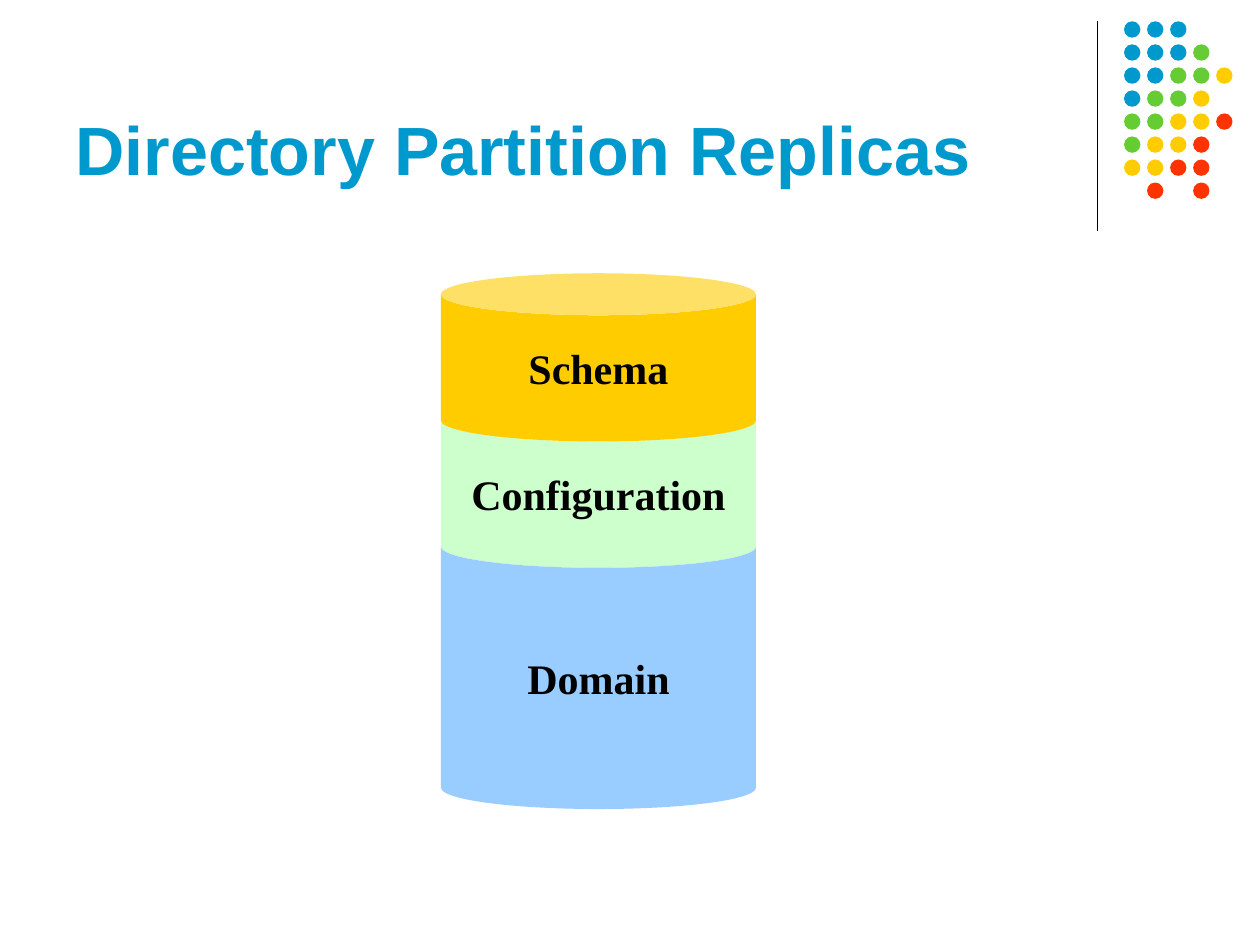
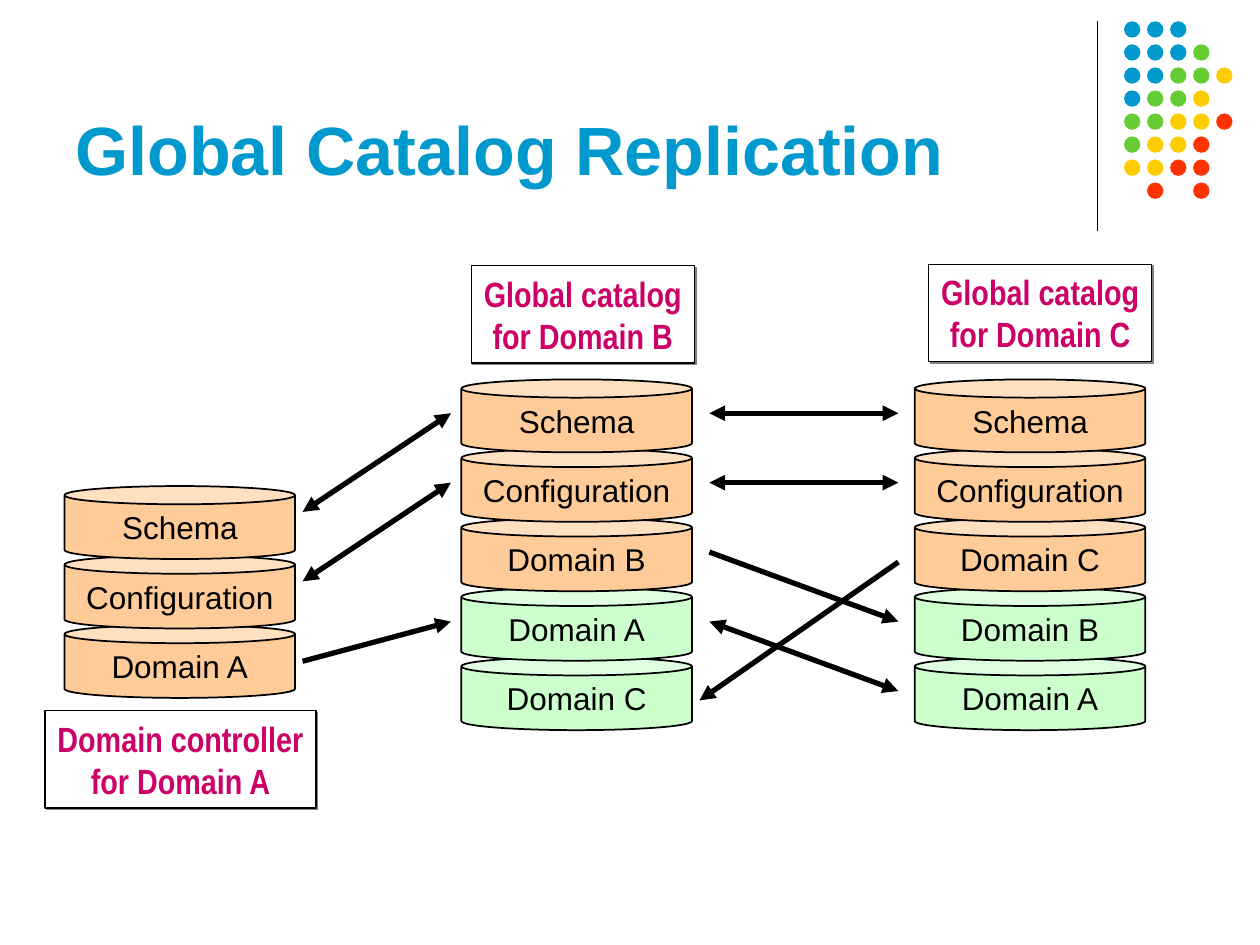
from lxml.etree import SubElement
from pptx import Presentation
from pptx.dml.color import RGBColor
from pptx.enum.shapes import MSO_CONNECTOR, MSO_SHAPE
from pptx.enum.text import MSO_ANCHOR, MSO_AUTO_SIZE, PP_ALIGN
from pptx.oxml.ns import qn
from pptx.util import Cm, Pt

COLORS = {
    "blue": "0099CD", "green": "66CC33", "gold": "FFCC00", "red": "FF3300",
    "black": "000000", "white": "FFFFFF", "gray": "808080", "pink": "CC0066",
    "sky": "99CCFF", "mint": "CCFFCC", "peach": "FFCC99",
}
DOT_KEYS = {"b": "blue", "g": "green", "y": "gold", "r": "red"}
DOT_ROWS = ["bbb", "bbbg", "bbggy", "bggy", "ggyyr", "gyyr", "yyrr", " r r"]
DOT_STEP = 3.25 / 7

CAN_WIDTH = 4.65
CAN_HEIGHT = 1.47
CAN_STEP = 1.4


def color(name):
    return RGBColor.from_string(COLORS[name])


def add_shape(slide, kind, left, top, width, height, fill, line=None):
    shape = slide.shapes.add_shape(kind, Cm(left), Cm(top), Cm(width), Cm(height))
    shape.shadow.inherit = False
    shape.fill.solid()
    shape.fill.fore_color.rgb = color(fill)
    if line:
        shape.line.color.rgb = color("black")
        shape.line.width = Pt(line)
    else:
        shape.line.fill.background()
    return shape


def set_text(shape, text, font, size, ink, bold=False, align=PP_ALIGN.CENTER):
    frame = shape.text_frame
    frame.text = text
    for par in frame.paragraphs:
        par.alignment = align
        for run in par.runs:
            run.font.name = font
            run.font.size = Pt(size)
            run.font.bold = bold
            run.font.color.rgb = color(ink)
    return frame


def add_line(slide, start, end, width, head=False, tail=False):
    points = [Cm(value) for value in (*start, *end)]
    line = slide.shapes.add_connector(MSO_CONNECTOR.STRAIGHT, *points)
    line.line.color.rgb = color("black")
    line.line.width = Pt(width)
    props = line.element.spPr
    for tag, shown in (("a:headEnd", head), ("a:tailEnd", tail)):
        if shown:
            SubElement(props.find(qn("a:ln")), qn(tag), type="triangle")
    SubElement(props, qn("a:effectLst"))
    return line


def add_arrow(slide, start, end, both=False):
    add_line(slide, start, end, 3, head=both, tail=True)


def add_can(slide, text, left, top, width, height, fill, bend=0.25,
            line=None, font="Arial", size=18, bold=False):
    can = add_shape(slide, MSO_SHAPE.CAN, left, top, width, height, fill, line)
    can.adjustments[0] = bend
    frame = set_text(can, text, font, size, "black", bold)
    frame.vertical_anchor = MSO_ANCHOR.MIDDLE
    frame.word_wrap = False


def add_stack(slide, left, top, names):
    for row, name in reversed(list(enumerate(names))):
        fill = "peach" if row < 3 else "mint"
        add_can(slide, name, left, top + row * CAN_STEP, CAN_WIDTH, CAN_HEIGHT,
                fill, line=1)


def add_label(slide, text, left, top, width):
    label = add_shape(slide, MSO_SHAPE.RECTANGLE, left, top, width, 1.96, "white", 0.75)
    frame = set_text(label, text, "Arial Narrow", 20, "pink", True)
    frame.vertical_anchor = MSO_ANCHOR.TOP
    frame.margin_left = frame.margin_right = Cm(0.1)
    frame.word_wrap = False
    frame.auto_size = MSO_AUTO_SIZE.NONE
    effect = label.element.spPr.find(qn("a:effectLst"))
    shadow = SubElement(effect, qn("a:outerShdw"), dist=str(Pt(1.4)),
                        dir="2700000", algn="ctr", rotWithShape="0")
    SubElement(shadow, qn("a:srgbClr"), val=COLORS["gray"])


def add_slide(deck, layout, text):
    slide = deck.slides.add_slide(layout)
    title = slide.shapes.title
    title.left, title.top = Cm(1.27), Cm(0.33)
    title.width, title.height = Cm(20.96), Cm(3.61)
    frame = set_text(title, text, "Arial", 39, "blue", True, PP_ALIGN.LEFT)
    frame.vertical_anchor = MSO_ANCHOR.BOTTOM
    frame.auto_size = MSO_AUTO_SIZE.NONE
    frame.word_wrap = True
    return slide


def dress_layout(layout, slide):
    for holder in list(layout.placeholders):
        if holder.placeholder_format.idx != 0:
            layout.shapes.element.remove(holder.element)
    parts = [add_line(slide, (22.12, 0.43), (22.12, 4.65), 0.75)]
    for row, keys in enumerate(DOT_ROWS):
        for col, key in enumerate(keys):
            if key in DOT_KEYS:
                parts.append(add_shape(
                    slide, MSO_SHAPE.OVAL, 22.66 + col * DOT_STEP,
                    0.43 + row * DOT_STEP, 0.33, 0.33, DOT_KEYS[key]))
    for part in parts:
        layout.shapes.element.append(part.element)


def draw_parts(slide):
    for name, top, height, fill, bend in (
        ("Domain", 10.59, 5.72, "sky", 0.15),
        ("Configuration", 8.05, 3.39, "mint", 0.25),
        ("Schema", 5.51, 3.39, "gold", 0.25),
    ):
        add_can(slide, name, 8.89, top, 6.35, height, fill, bend,
                font="Times New Roman", size=24, bold=True)


def draw_sync(slide):
    shared = ["Schema", "Configuration"]
    add_stack(slide, 9.3, 7.65, shared + ["Domain B", "Domain A", "Domain C"])
    add_stack(slide, 18.44, 7.65, shared + ["Domain C", "Domain B", "Domain A"])
    add_stack(slide, 1.3, 9.8, shared + ["Domain A"])
    add_label(slide, "Global catalog\vfor Domain B", 9.5, 5.36, 4.5)
    add_label(slide, "Global catalog\vfor Domain C", 18.72, 5.33, 4.5)
    add_label(slide, "Domain controller\vfor Domain A", 0.91, 14.33, 5.46)

    rows = [8.33 + row * CAN_STEP for row in range(5)]
    for row in range(2):
        add_arrow(slide, (6.1, 10.32 + row * CAN_STEP), (9.09, rows[row]), both=True)
        add_arrow(slide, (14.3, rows[row]), (18.11, rows[row]), both=True)
    add_arrow(slide, (6.1, 13.33), (9.09, rows[3]))
    add_arrow(slide, (14.3, rows[2]), (18.11, rows[3]))
    add_arrow(slide, (18.11, 11.33), (14.1, 14.12))
    add_arrow(slide, (14.3, rows[3]), (18.11, rows[4]), both=True)


def main():
    deck = Presentation()
    deck.slide_width, deck.slide_height = Cm(25.4), Cm(19.05)
    layout = deck.slide_layouts.get_by_name("Title Only")
    first = add_slide(deck, layout, "Directory Partition Replicas")
    dress_layout(layout, first)
    draw_parts(first)
    draw_sync(add_slide(deck, layout, "Global Catalog Replication"))
    deck.save("out.pptx")


if __name__ == "__main__":
    main()
